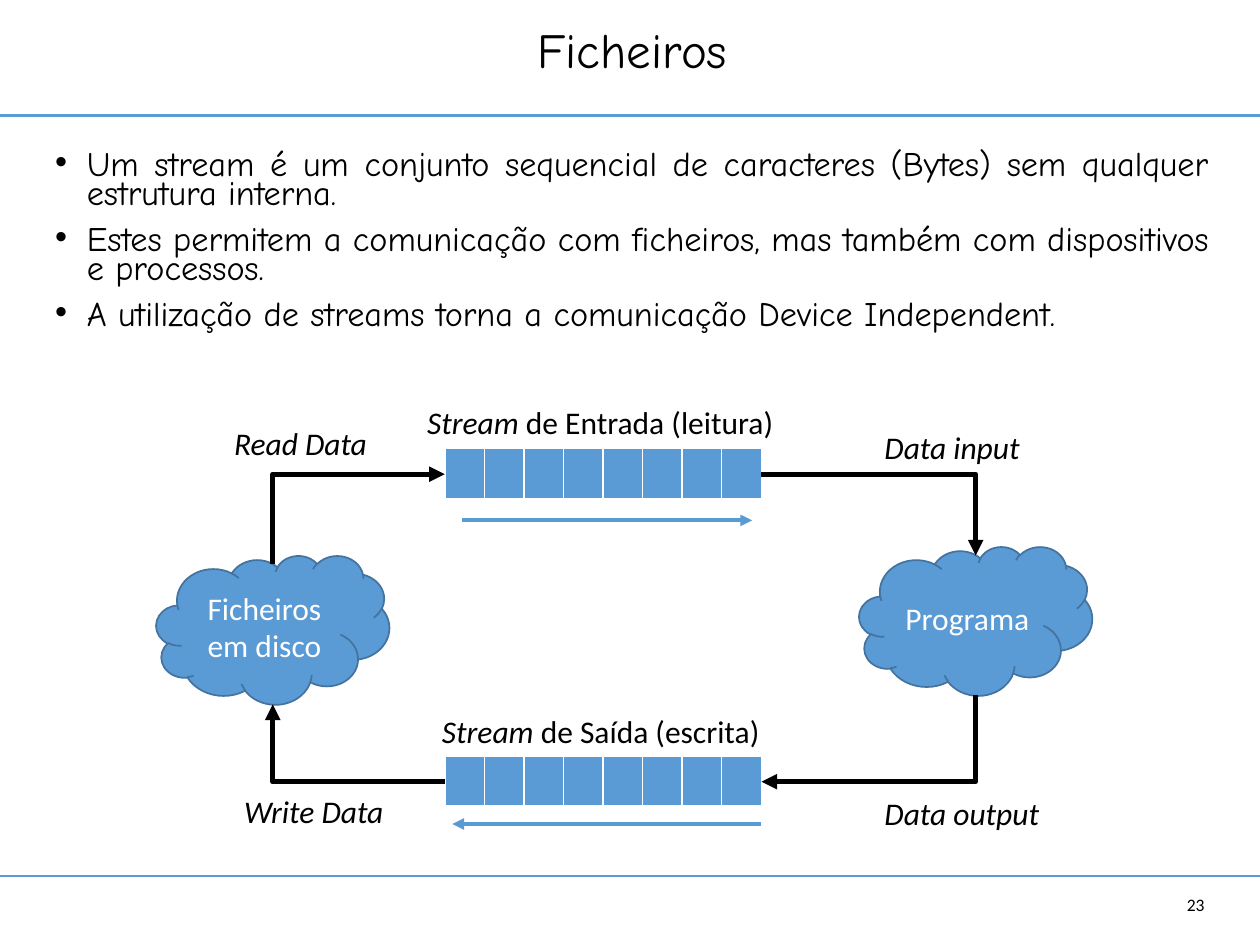
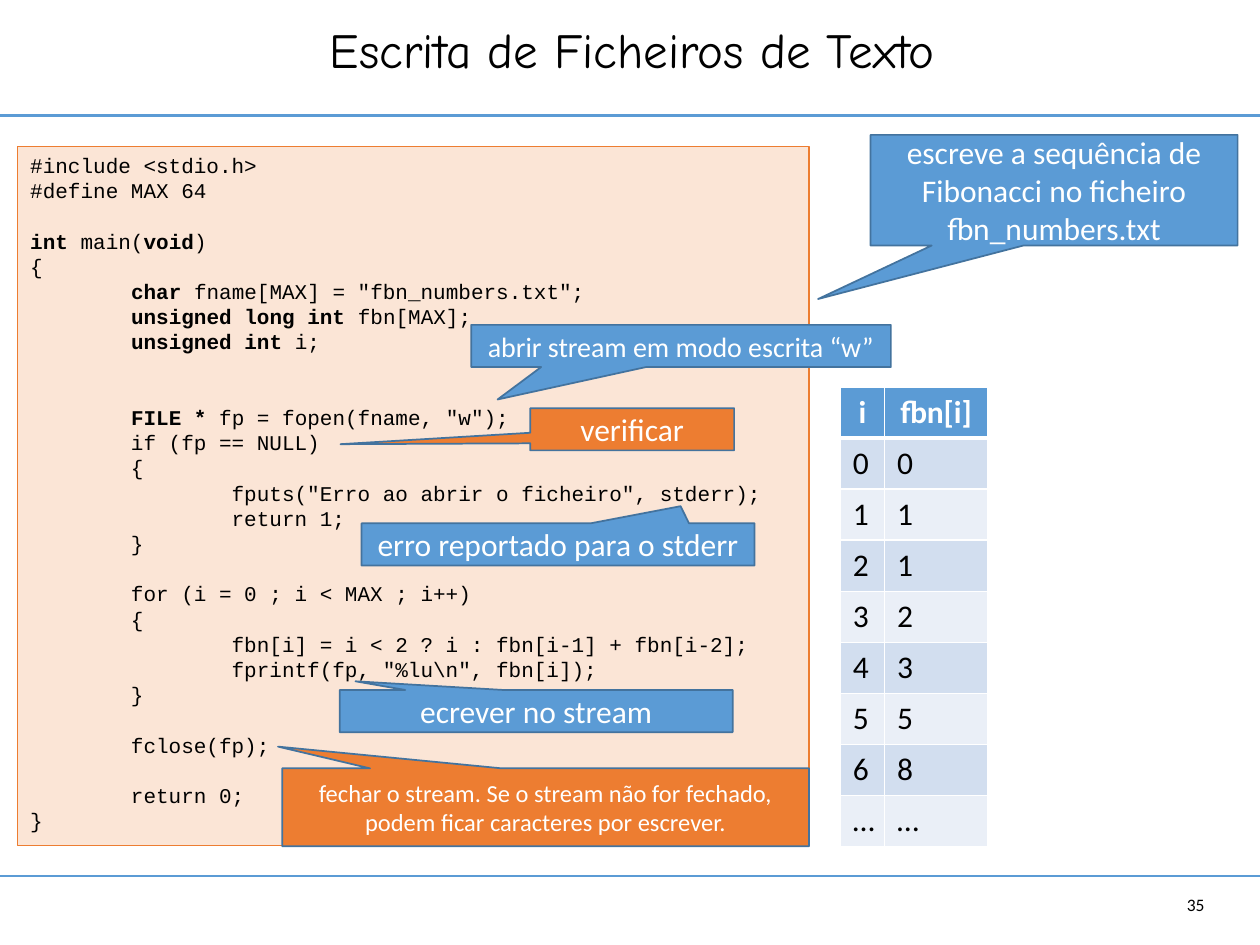
import pptx
import pptx.dml.color
import pptx.enum.shapes
import pptx.enum.text
import pptx.oxml
import pptx.oxml.ns
import pptx.util
from lxml import etree

Cm = pptx.util.Cm
Pt = pptx.util.Pt
ALIGN = pptx.enum.text.PP_ALIGN
ANCHOR = pptx.enum.text.MSO_ANCHOR
SHAPE = pptx.enum.shapes.MSO_SHAPE
CONNECTOR = pptx.enum.shapes.MSO_CONNECTOR
qn = pptx.oxml.ns.qn

COLOURS = {
    "blue": "5B9BD5",
    "outline": "43739E",
    "orange": "ED7D31",
    "peach": "FBE5D6",
    "band_dark": "D2DEEF",
    "band_light": "EAEFF7",
    "black": "000000",
    "white": "FFFFFF",
}
WIDTH, HEIGHT = 25.4, 19.05
TITLE_FONT, TEXT_FONT, CODE_FONT = "Comic Neue", "Calibri", "Courier New"

BULLETS = [
    "Um stream é um conjunto sequencial de caracteres (Bytes) sem qualquer estrutura interna.",
    "Estes permitem a comunicação com ficheiros, mas também com dispositivos e processos.",
    "A utilização de streams torna a comunicação Device Independent.",
]

CODE = r"""#include <stdio.h>
#define MAX 64

|int| main(|void|)
{
        |char |fname[MAX] = "fbn_numbers.txt";
        |unsigned long int |fbn[MAX];
        |unsigned int |i;


        |FILE * |fp = fopen(fname, "w");
        if (fp == NULL)
        {
                fputs("Erro ao abrir o ficheiro", stderr);
                return 1;
        }

        for (i = 0 ; i < MAX ; i++)
        {
                fbn[i] = i < 2 ? i : fbn[i-1] + fbn[i-2];
                fprintf(fp, "%lu\n", fbn[i]);
        }

        fclose(fp);

        return 0;
}"""

FIBONACCI = [("i", "fbn[i]"), ("0", "0"), ("1", "1"), ("2", "1"), ("3", "2"),
             ("4", "3"), ("5", "5"), ("6", "8"), ("…", "…")]

CALLOUTS = [
    ("escreve a sequência de Fibonacci no ficheiro fbn_numbers.txt",
     17.55, 2.72, 7.4, 2.23, "blue", 18, (-0.643, 0.984)),
    ("abrir stream em modo escrita “w”", 9.5, 6.55, 8.46, 0.85, "blue", 16, (-0.437, 1.27)),
    ("verificar", 10.69, 8.23, 4.11, 0.85, "orange", 18, (-1.431, 0.354)),
    ("erro reportado para o stderr", 7.29, 10.55, 7.92, 0.85, "blue", 18, (0.312, -0.906)),
    ("ecrever no stream", 6.85, 13.91, 7.92, 0.85, "blue", 18, (-0.46, -0.706)),
    ("fechar o stream. Se o stream não for fechado, podem ficar caracteres por escrever.",
     5.69, 15.49, 10.62, 1.57, "orange", 14, (-0.508, -0.779)),
]


def rgb(name):
    return pptx.dml.color.RGBColor.from_string(COLOURS[name])


def set_font(paragraph, size, name=TEXT_FONT, colour="black"):
    paragraph.font.size = Pt(size)
    paragraph.font.name = name
    paragraph.font.color.rgb = rgb(colour)


def add_marked_runs(paragraph, text, emphasis):
    for index, part in enumerate(text.split("|")):
        if part:
            run = paragraph.add_run()
            run.text = part
            if index % 2:
                setattr(run.font, emphasis, True)


def add_shape(slide, kind, left, top, width, height, fill, line, line_width):
    shape = slide.shapes.add_shape(kind, Cm(left), Cm(top), Cm(width), Cm(height))
    shape.shadow.inherit = False
    shape.fill.solid()
    shape.fill.fore_color.rgb = rgb(fill)
    shape.line.color.rgb = rgb(line)
    shape.line.width = Pt(line_width)
    shape.text_frame.word_wrap = True
    return shape


def add_captioned_shape(slide, kind, text, left, top, width, height, fill="blue", size=18):
    shape = add_shape(slide, kind, left, top, width, height, fill, "outline", 1)
    shape.text_frame.vertical_anchor = ANCHOR.MIDDLE
    paragraph = shape.text_frame.paragraphs[0]
    paragraph.text = text
    paragraph.alignment = ALIGN.CENTER
    set_font(paragraph, size, colour="white")
    return shape


def add_line(slide, start, end, colour, width, arrow=None, bent=False):
    kind = CONNECTOR.ELBOW if bent else CONNECTOR.STRAIGHT
    connector = slide.shapes.add_connector(kind, *map(Cm, (*start, *end)))
    connector.line.color.rgb = rgb(colour)
    connector.line.width = Pt(width)
    properties = connector._element.spPr
    if bent:
        properties.find(qn("a:prstGeom")).set("prst", "bentConnector2")
    if arrow:
        etree.SubElement(properties.find(qn("a:ln")), qn(f"a:{arrow}"), type="triangle")
    etree.SubElement(properties, qn("a:effectLst"))


def add_label(slide, text, left, top, width):
    box = slide.shapes.add_textbox(Cm(left), Cm(top), Cm(width), Cm(1.02))
    box.text_frame.word_wrap = False
    box.text_frame.auto_size = pptx.enum.text.MSO_AUTO_SIZE.SHAPE_TO_FIT_TEXT
    paragraph = box.text_frame.paragraphs[0]
    add_marked_runs(paragraph, text, "italic")
    set_font(paragraph, 18)


def style_cell(cell, fill, bottom_width):
    properties = cell._tc.get_or_add_tcPr()
    for side, width in (("L", 1), ("R", 1), ("T", 1), ("B", bottom_width)):
        border = etree.SubElement(properties, qn(f"a:ln{side}"), w=str(Pt(width)))
        solid = etree.SubElement(border, qn("a:solidFill"))
        etree.SubElement(solid, qn("a:srgbClr"), val=COLOURS["white"])
    cell.fill.solid()
    cell.fill.fore_color.rgb = rgb(fill)


def add_grid(slide, left, top, column_widths, row_height, row_count):
    table = slide.shapes.add_table(
        row_count, len(column_widths), Cm(left), Cm(top),
        Cm(sum(column_widths)), Cm(row_height * row_count)).table
    for column, width in zip(table.columns, column_widths):
        column.width = Cm(width)
    for row in table.rows:
        row.height = Cm(row_height)
    return table


def add_base_slide(presentation, title, number):
    slide = presentation.slides.add_slide(presentation.slide_layouts[5])
    for height in (2.33, 17.66):
        add_line(slide, (0, height), (WIDTH, height), "blue", 1.25)
    heading = slide.shapes.title
    heading.left, heading.top, heading.width, heading.height = map(Cm, (0.86, 0, 23.77, 2.13))
    heading.text_frame.vertical_anchor = ANCHOR.MIDDLE
    paragraph = heading.text_frame.paragraphs[0]
    paragraph.text = title
    paragraph.alignment = ALIGN.CENTER
    paragraph.line_spacing = 0.9
    set_font(paragraph, 28, TITLE_FONT)
    footer = slide.shapes.add_textbox(Cm(22.5), Cm(17.93), Cm(2.03), Cm(0.61))
    footer.text_frame.word_wrap = True
    footer.text_frame.vertical_anchor = ANCHOR.MIDDLE
    paragraph = footer.text_frame.paragraphs[0]
    paragraph.text = number
    paragraph.alignment = ALIGN.RIGHT
    set_font(paragraph, 10)
    return slide


def add_bullets(slide, left, top, width, height):
    box = slide.shapes.add_textbox(Cm(left), Cm(top), Cm(width), Cm(height))
    frame = box.text_frame
    frame.word_wrap = True
    for index, text in enumerate(BULLETS):
        paragraph = frame.add_paragraph() if index else frame.paragraphs[0]
        paragraph.text = text
        paragraph.alignment = ALIGN.JUSTIFY
        paragraph.line_spacing = 0.7
        if index:
            paragraph.space_before = Pt(10)
        properties = paragraph._p.get_or_add_pPr()
        properties.set("marL", str(Cm(0.64)))
        properties.set("indent", str(-Cm(0.64)))
        etree.SubElement(properties, qn("a:buFont"), typeface="Arial")
        etree.SubElement(properties, qn("a:buChar"), char="•")
        set_font(paragraph, 19.6, TITLE_FONT)


def add_stream_buffer(slide, left, top, width, height):
    cell_count = 8
    table = add_grid(slide, left, top, [width / cell_count] * cell_count, height, 1)
    for cell in table.iter_cells():
        style_cell(cell, "blue", 3)


def add_stream_diagram(slide, left, top, width, height):
    cloud_width, cloud_height = 4.7, 3
    buffer_left, buffer_width, buffer_height = left + 5.82, 6.38, 1.04
    buffer_right = buffer_left + buffer_width
    input_top, output_top = top + 1.04, top + height - 1.65
    input_middle = input_top + buffer_height / 2
    output_middle = output_top + buffer_height / 2
    disk_top, program_top = top + 3.2, top + 3.02
    program_left = left + width - cloud_width
    disk_middle = left + cloud_width / 2
    program_middle = program_left + cloud_width / 2

    for text, cloud_left, cloud_top in (("Ficheiros em disco", left, disk_top),
                                        ("Programa", program_left, program_top)):
        add_captioned_shape(slide, SHAPE.CLOUD, text, cloud_left, cloud_top,
                            cloud_width, cloud_height)
    for buffer_top in (input_top, output_top):
        add_stream_buffer(slide, buffer_left, buffer_top, buffer_width, buffer_height)

    for start, end, arrow in (
        ((buffer_right, input_middle), (program_middle, program_top + 0.18), "tailEnd"),
        ((buffer_left, input_middle), (disk_middle, disk_top + 0.18), "headEnd"),
        ((buffer_right, output_middle), (program_middle, program_top + cloud_height), "headEnd"),
        ((buffer_left, output_middle), (disk_middle, disk_top + cloud_height), "tailEnd"),
    ):
        add_line(slide, start, end, "black", 3, arrow, bent=True)

    for text, offset_x, offset_y, label_width in (
        ("|Stream |de Entrada (leitura)", 5.21, 0, 7.57),
        ("|Stream| de Saída (escrita)", 5.51, 6.22, 6.99),
        ("|Data input|", 14.43, 0.51, 3.28),
        ("|Data output|", 14.43, 7.88, 3.66),
        ("|Write Data|", 1.52, 7.85, 3.35),
        ("|Read Data|", 1.32, 0.43, 3.23),
    ):
        add_label(slide, text, left + offset_x, top + offset_y, label_width)

    for start_x, end_x, offset_y in ((6.17, 12.01, 2.49), (12.19, 5.97, 8.61)):
        add_line(slide, (left + start_x, top + offset_y), (left + end_x, top + offset_y),
                 "blue", 2.25, "tailEnd")


def add_code_panel(slide, left, top, width, height):
    panel = add_shape(slide, SHAPE.RECTANGLE, left, top, width, height, "peach", "orange", 0.75)
    frame = panel.text_frame
    frame.vertical_anchor = ANCHOR.TOP
    for index, line in enumerate(CODE.split("\n")):
        paragraph = frame.add_paragraph() if index else frame.paragraphs[0]
        add_marked_runs(paragraph, line, "bold")
        paragraph.alignment = ALIGN.LEFT
        paragraph.line_spacing = Pt(14.4)
        set_font(paragraph, 12, CODE_FONT)


def add_fibonacci_table(slide, left, top, width, height):
    index_width = 0.89
    table = add_grid(slide, left, top, [index_width, width - index_width],
                     height / len(FIBONACCI), len(FIBONACCI))
    for row_index, values in enumerate(FIBONACCI):
        is_header = row_index == 0
        band = "band_dark" if row_index % 2 else "band_light"
        for column_index, value in enumerate(values):
            cell = table.cell(row_index, column_index)
            style_cell(cell, "blue" if is_header else band, 3 if is_header else 1)
            paragraph = cell.text_frame.paragraphs[0]
            paragraph.text = value
            paragraph.alignment = ALIGN.CENTER if is_header else ALIGN.LEFT
            set_font(paragraph, 18, colour="white" if is_header else "black")
            paragraph.font.bold = is_header


def add_callouts(slide):
    for text, left, top, width, height, fill, size, tip in CALLOUTS:
        callout = add_captioned_shape(slide, SHAPE.RECTANGULAR_CALLOUT, text,
                                      left, top, width, height, fill, size)
        callout.adjustments[0], callout.adjustments[1] = tip


def main():
    presentation = pptx.Presentation()
    presentation.slide_width, presentation.slide_height = Cm(WIDTH), Cm(HEIGHT)

    streams_slide = add_base_slide(presentation, "Ficheiros", "23")
    add_bullets(streams_slide, 0.86, 2.97, 23.77, 4.72)
    add_stream_diagram(streams_slide, 3.15, 8, 18.87, 8.89)

    writing_slide = add_base_slide(presentation, "Escrita de Ficheiros de Texto", "35")
    add_code_panel(writing_slide, 0.36, 2.95, 15.95, 14.1)
    add_fibonacci_table(writing_slide, 16.94, 7.8, 2.97, 9.27)
    add_callouts(writing_slide)

    presentation.save("out.pptx")


if __name__ == "__main__":
    main()
